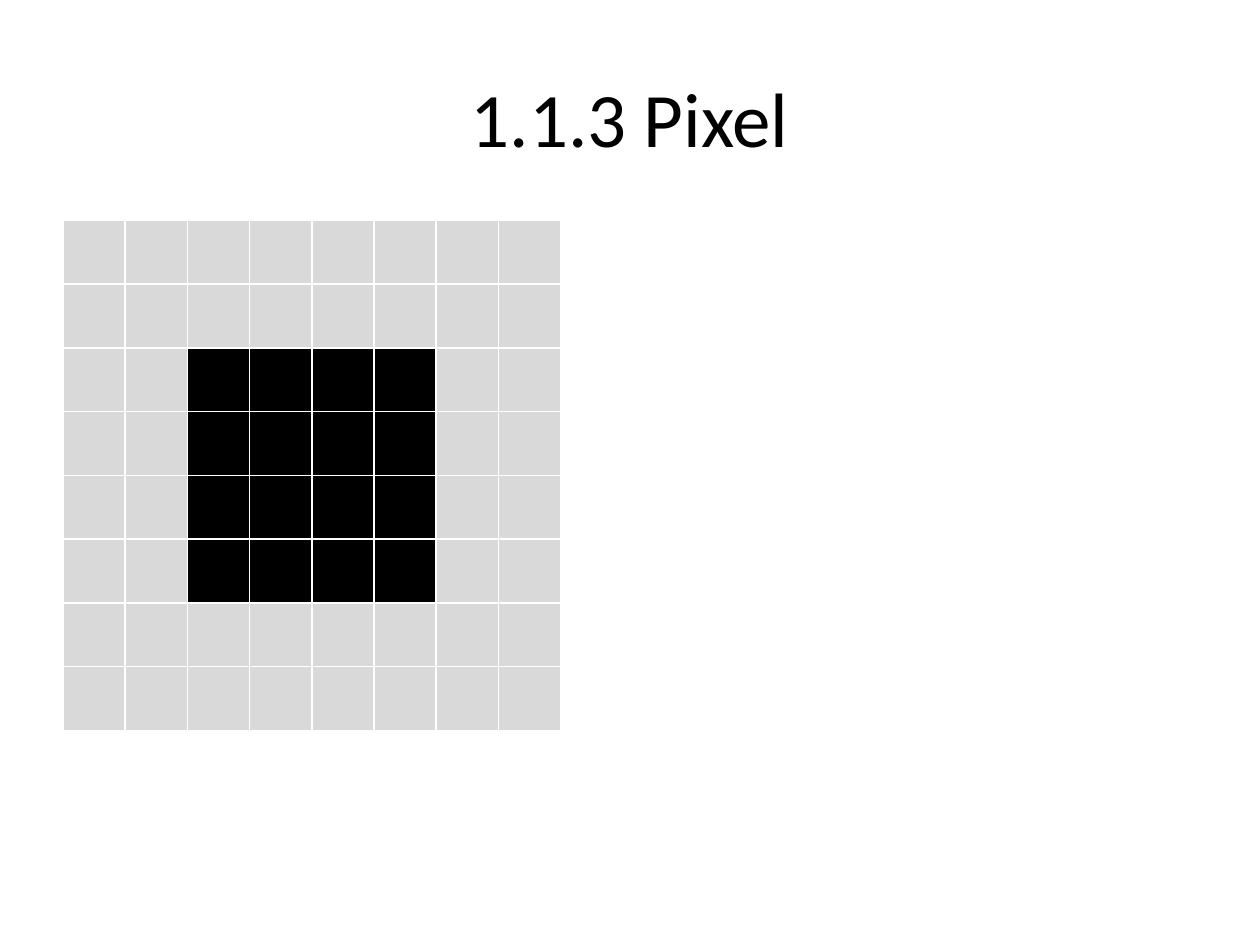
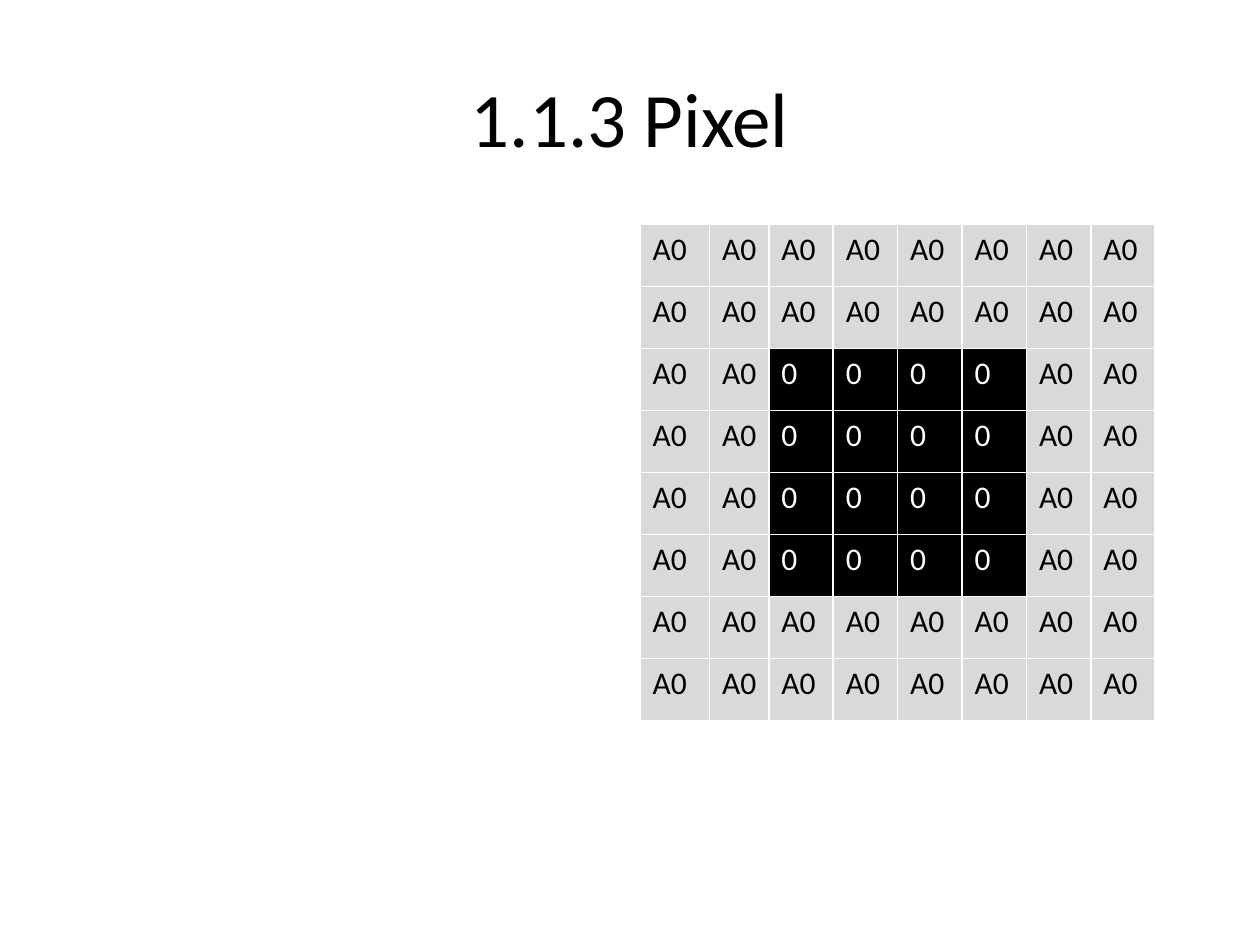
from lxml.etree import SubElement
from pptx import Presentation
from pptx.dml.color import RGBColor
from pptx.enum.text import MSO_ANCHOR, PP_ALIGN
from pptx.oxml.ns import qn
from pptx.util import Inches, Pt

BLACK = RGBColor(0x00, 0x00, 0x00)
WHITE = RGBColor(0xFF, 0xFF, 0xFF)
LIGHT_GREY = RGBColor(0xD9, 0xD9, 0xD9)
FONT = "Calibri"

GRID_SIZE = 8
DARK_SQUARE = range(2, 6)
EQUAL_COLUMNS = [1] * GRID_SIZE
VALUE_COLUMNS = [0.55, 0.47] + [0.51] * 6


def format_runs(paragraph, size, color):
    for run in paragraph.runs:
        run.font.name = FONT
        run.font.size = Pt(size)
        run.font.color.rgb = color


def add_title_slide(presentation, title):
    """Add a title-only slide with the shared title style."""
    slide = presentation.slides.add_slide(presentation.slide_layouts[5])
    shape = slide.shapes.title
    shape.left, shape.top = Inches(0.5), Inches(0.3)
    shape.width, shape.height = Inches(9), Inches(1.25)
    text_frame = shape.text_frame
    text_frame.text = title
    text_frame.vertical_anchor = MSO_ANCHOR.MIDDLE
    paragraph = text_frame.paragraphs[0]
    paragraph.alignment = PP_ALIGN.CENTER
    format_runs(paragraph, 44, BLACK)
    return slide


def set_borders(cell, color, width):
    properties = cell._tc.get_or_add_tcPr()
    for side in ("a:lnL", "a:lnR", "a:lnT", "a:lnB"):
        line = SubElement(properties, qn(side), w=str(Pt(width)))
        fill = SubElement(line, qn("a:solidFill"))
        SubElement(fill, qn("a:srgbClr"), val=str(color))


def add_pixel_grid(slide, left, top, width, height, column_weights,
                   dark_value="", light_value=""):
    """Draw a dark square on a light pixel grid, with optional pixel values."""
    table = slide.shapes.add_table(
        GRID_SIZE, GRID_SIZE, Inches(left), Inches(top),
        Inches(width), Inches(height)).table
    table.first_row = False
    table.horz_banding = False
    for column, weight in zip(table.columns, column_weights):
        column.width = Inches(width * weight / sum(column_weights))
    for row in table.rows:
        row.height = Inches(height / GRID_SIZE)

    for row_index in range(GRID_SIZE):
        for column_index in range(GRID_SIZE):
            dark = row_index in DARK_SQUARE and column_index in DARK_SQUARE
            cell = table.cell(row_index, column_index)
            cell.margin_right = Inches(0.05)
            set_borders(cell, WHITE, 1)
            cell.fill.solid()
            cell.fill.fore_color.rgb = BLACK if dark else LIGHT_GREY
            value = dark_value if dark else light_value
            if value:
                cell.text_frame.text = value
                format_runs(cell.text_frame.paragraphs[0], 18,
                            WHITE if dark else BLACK)


def main():
    presentation = Presentation()
    presentation.slide_width = Inches(10)
    presentation.slide_height = Inches(7.5)

    title = "1.1.3 Pixel"
    image_slide = add_title_slide(presentation, title)
    add_pixel_grid(image_slide, 0.5, 1.75, 3.95, 4.05, EQUAL_COLUMNS)

    value_slide = add_title_slide(presentation, title)
    add_pixel_grid(value_slide, 5.08, 1.78, 4.09, 3.94, VALUE_COLUMNS,
                   dark_value="0", light_value="A0")

    presentation.save("out.pptx")


if __name__ == "__main__":
    main()
